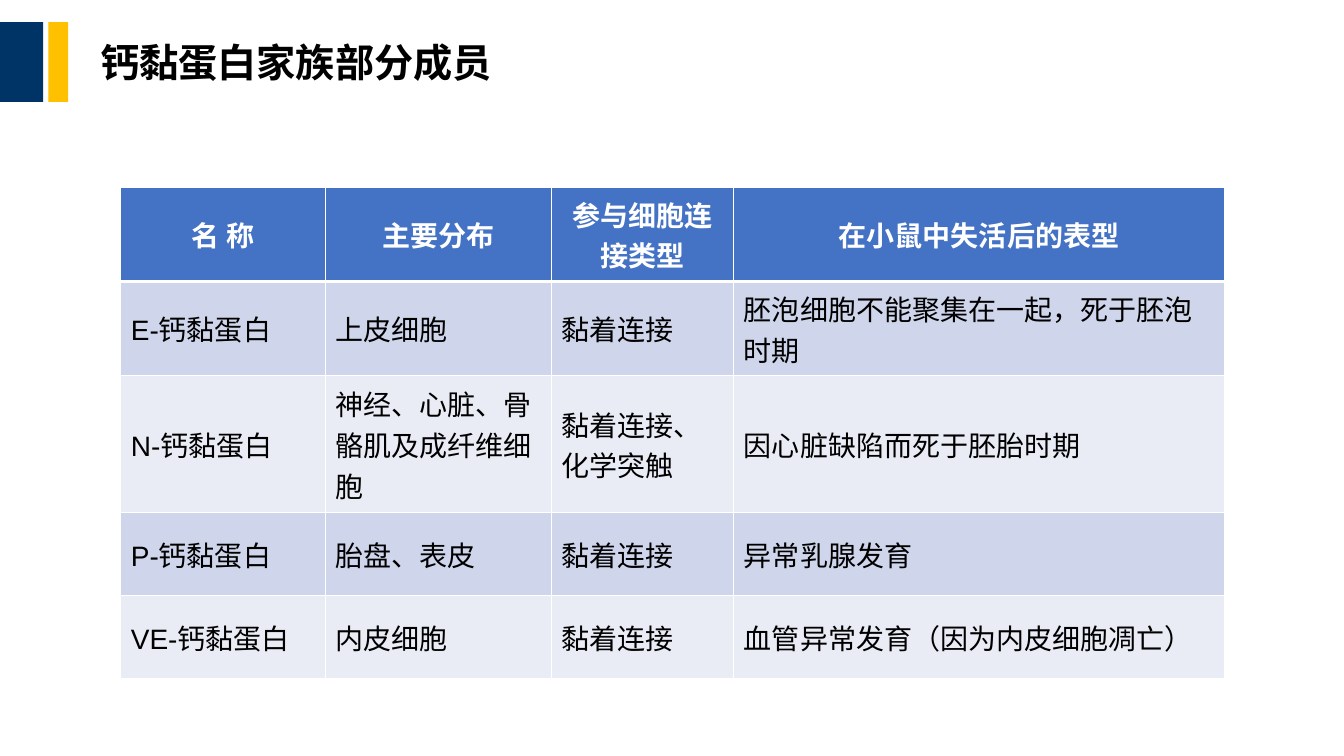
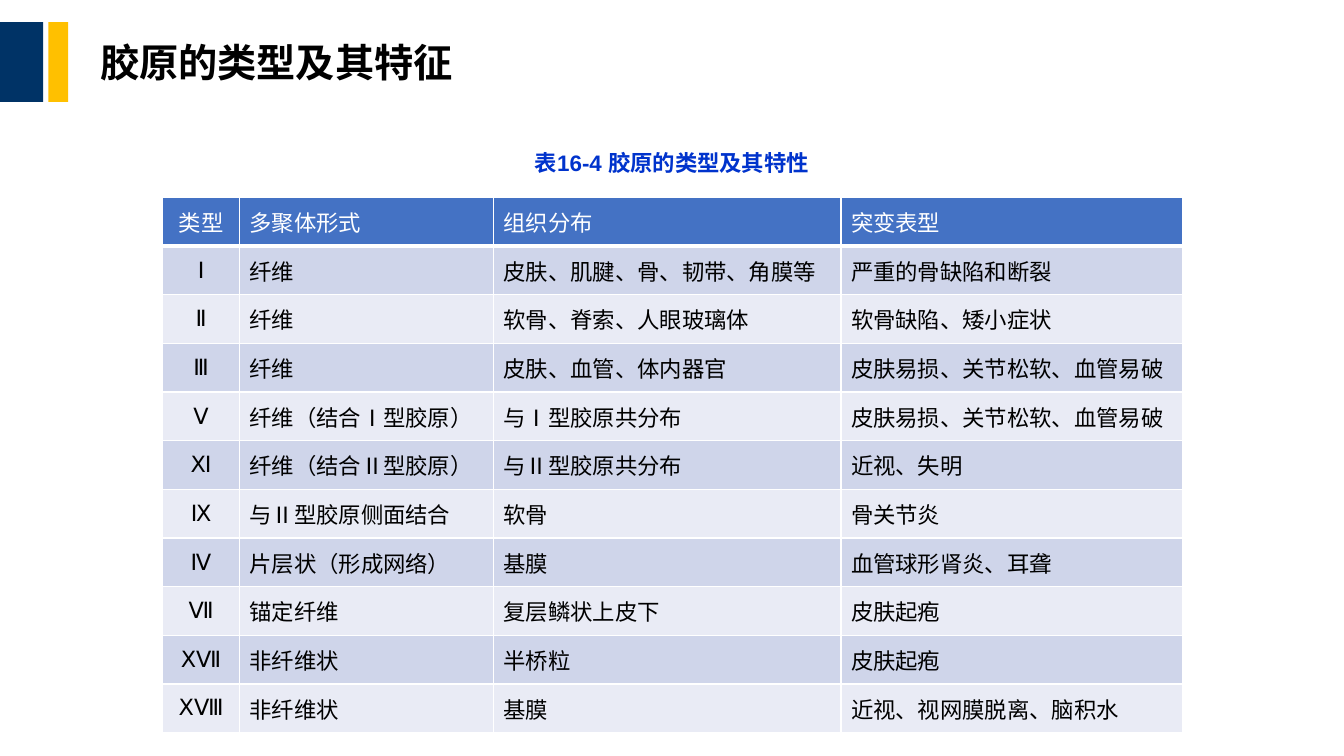
from pptx import Presentation
from pptx.dml.color import RGBColor
from pptx.enum.shapes import MSO_SHAPE
from pptx.enum.text import MSO_ANCHOR, PP_ALIGN
from pptx.oxml import parse_xml
from pptx.oxml.ns import nsdecls
from pptx.util import Emu, Pt

PX = 9525  # EMU in one px, 96 px to the inch
COLORS = {
    "navy": "003366",
    "gold": "FFC000",
    "black": "000000",
    "white": "FFFFFF",
    "caption": "0033CC",
    "header": "4472C4",
    "band_dark": "CFD5EA",
    "band_light": "E9EBF5",
}


def px(*lengths):
    return [Emu(round(length * PX)) for length in lengths]


def rgb(name):
    return RGBColor.from_string(COLORS[name])


class DeckBuilder:
    """Holds the shared style and the current slide."""

    font_name = "Arial"

    def __init__(self):
        self.deck = Presentation()
        self.deck.slide_width, self.deck.slide_height = px(1280, 720)
        self.page = None

    def start_page(self, title):
        self.page = self.deck.slides.add_slide(self.deck.slide_layouts[6])
        self.band(0, 21, 41, 76, "navy")
        self.band(46, 21, 19, 76, "gold")
        self.text(86, 21, 1162, 76, title, 28, "black", anchor=MSO_ANCHOR.MIDDLE)

    def band(self, left, top, width, height, color):
        bar = self.page.shapes.add_shape(
            MSO_SHAPE.RECTANGLE, *px(left, top, width, height))
        bar.shadow.inherit = False
        bar.fill.solid()
        bar.fill.fore_color.rgb = rgb(color)
        bar.line.fill.background()

    def style(self, para, size, color, bold, align):
        para.alignment = align
        para.font.name = self.font_name
        para.font.size = Pt(size)
        para.font.bold = bold
        para.font.color.rgb = rgb(color)

    def text(self, left, top, width, height, words, size, color,
             align=PP_ALIGN.LEFT, anchor=MSO_ANCHOR.TOP):
        box = self.page.shapes.add_textbox(*px(left, top, width, height))
        frame = box.text_frame
        frame.word_wrap = True
        frame.vertical_anchor = anchor
        frame.text = words
        self.style(frame.paragraphs[0], size, color, True, align)

    def cell_borders(self, cell, bottom):
        properties = cell._tc.get_or_add_tcPr()
        for side, points in (("L", 1), ("R", 1), ("T", 1), ("B", bottom)):
            properties.append(parse_xml(
                f'<a:ln{side} {nsdecls("a")} w="{Pt(points)}"><a:solidFill>'
                f'<a:srgbClr val="{COLORS["white"]}"/></a:solidFill></a:ln{side}>'))

    def table(self, left, top, widths, heights, rows, size,
              header_bold=False, centered=lambda row, column: False):
        grid = self.page.shapes.add_table(
            len(rows), len(widths),
            *px(left, top, sum(widths), sum(heights))).table
        for column, width in zip(grid.columns, px(*widths)):
            column.width = width
        for row, height in zip(grid.rows, px(*heights)):
            row.height = height
        for r, row in enumerate(rows):
            is_header = r == 0
            fill = "header" if is_header else ("band_light", "band_dark")[r % 2]
            for c, words in enumerate(row):
                cell = grid.cell(r, c)
                self.cell_borders(cell, 3 if is_header else 1)
                cell.fill.solid()
                cell.fill.fore_color.rgb = rgb(fill)
                cell.vertical_anchor = MSO_ANCHOR.MIDDLE
                cell.text = words
                self.style(cell.text_frame.paragraphs[0], size,
                           "white" if is_header else "black",
                           is_header and header_bold,
                           PP_ALIGN.CENTER if centered(r, c) else PP_ALIGN.LEFT)


CADHERINS = [
    ("名 称", "主要分布", "参与细胞连接类型", "在小鼠中失活后的表型"),
    ("E-钙黏蛋白", "上皮细胞", "黏着连接", "胚泡细胞不能聚集在一起，死于胚泡时期"),
    ("N-钙黏蛋白", "神经、心脏、骨骼肌及成纤维细胞", "黏着连接、化学突触",
     "因心脏缺陷而死于胚胎时期"),
    ("P-钙黏蛋白", "胎盘、表皮", "黏着连接", "异常乳腺发育"),
    ("VE-钙黏蛋白", "内皮细胞", "黏着连接", "血管异常发育（因为内皮细胞凋亡）"),
]

COLLAGENS = [
    ("类型", "多聚体形式", "组织分布", "突变表型"),
    ("Ⅰ", "纤维", "皮肤、肌腱、骨、韧带、角膜等", "严重的骨缺陷和断裂"),
    ("Ⅱ", "纤维", "软骨、脊索、人眼玻璃体", "软骨缺陷、矮小症状"),
    ("Ⅲ", "纤维", "皮肤、血管、体内器官", "皮肤易损、关节松软、血管易破"),
    ("Ⅴ", "纤维（结合Ⅰ型胶原）", "与Ⅰ型胶原共分布", "皮肤易损、关节松软、血管易破"),
    ("Ⅺ", "纤维（结合Ⅱ型胶原）", "与Ⅱ型胶原共分布", "近视、失明"),
    ("Ⅸ", "与Ⅱ型胶原侧面结合", "软骨", "骨关节炎"),
    ("Ⅳ", "片层状（形成网络）", "基膜", "血管球形肾炎、耳聋"),
    ("Ⅶ", "锚定纤维", "复层鳞状上皮下", "皮肤起疱"),
    ("ⅩⅦ", "非纤维状", "半桥粒", "皮肤起疱"),
    ("ⅩⅧ", "非纤维状", "基膜", "近视、视网膜脱离、脑积水"),
]


def main():
    builder = DeckBuilder()

    # Cadherin family
    builder.start_page("钙黏蛋白家族部分成员")
    builder.table(115, 178, [195, 215, 174, 467], [90, 90, 130, 79, 79],
                  CADHERINS, 20, header_bold=True,
                  centered=lambda row, column: row == 0)

    # Collagen types: equal rows share the table height
    builder.start_page("胶原的类型及其特征")
    row_count = len(COLLAGENS)
    builder.table(155, 188, [73, 242, 331, 325], [510 / row_count] * row_count,
                  COLLAGENS, 16, centered=lambda row, column: column == 0)
    builder.text(484, 137, 312, 38, "表16-4 胶原的类型及其特性", 16, "caption",
                 align=PP_ALIGN.CENTER)

    builder.deck.save("out.pptx")


if __name__ == "__main__":
    main()
